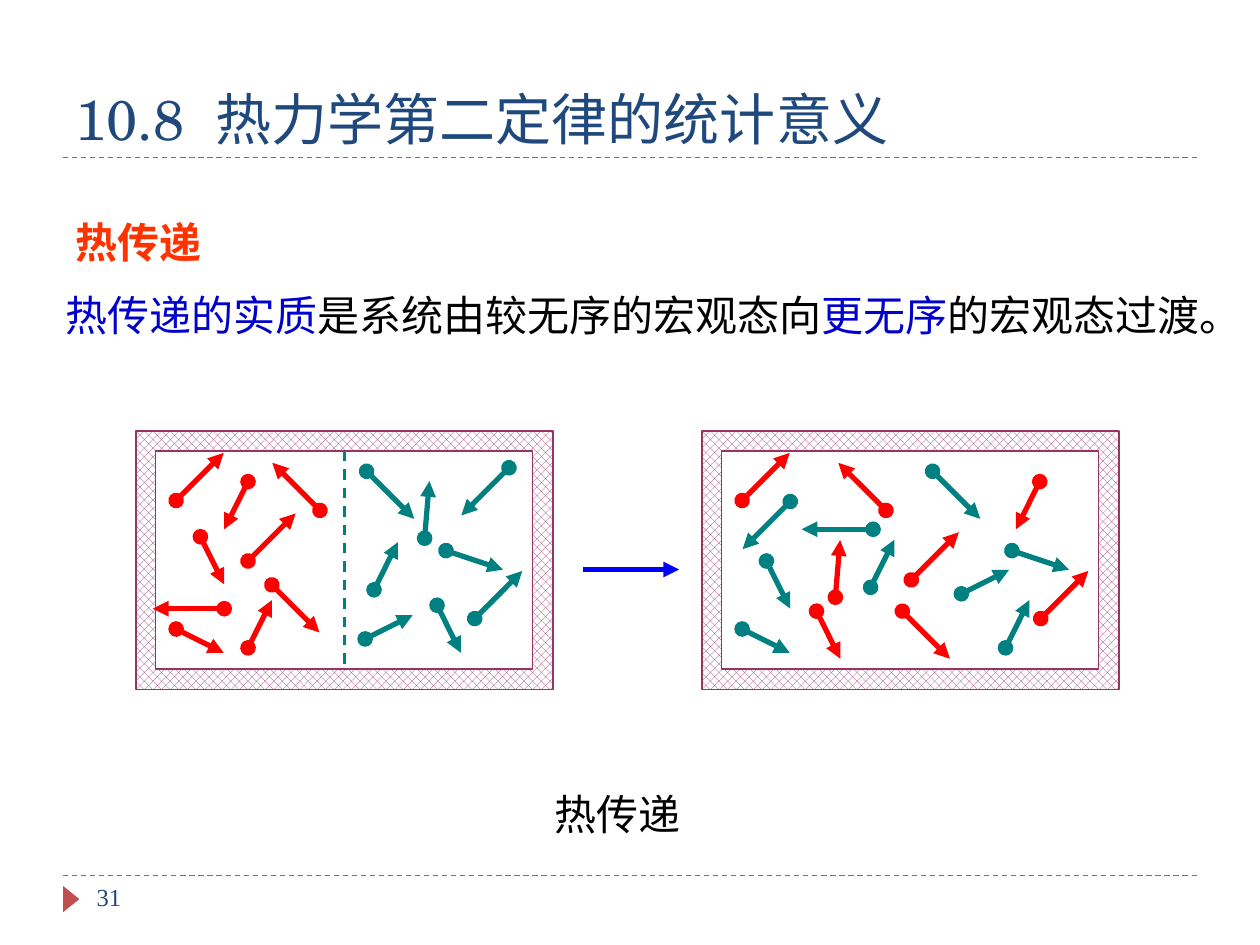
from lxml import etree
from pptx import Presentation
from pptx.dml.color import RGBColor
from pptx.enum.dml import MSO_LINE, MSO_PATTERN
from pptx.enum.shapes import MSO_CONNECTOR, MSO_SHAPE
from pptx.enum.text import MSO_ANCHOR, MSO_AUTO_SIZE
from pptx.oxml.ns import qn
from pptx.util import Cm, Pt

STRAIGHT = MSO_CONNECTOR.STRAIGHT
RECTANGLE, TRIANGLE = MSO_SHAPE.RECTANGLE, MSO_SHAPE.ISOSCELES_TRIANGLE
DASH = MSO_LINE.DASH
HATCH = MSO_PATTERN.PERCENT_50
TOP, BOTTOM = MSO_ANCHOR.TOP, MSO_ANCHOR.BOTTOM
GROW = MSO_AUTO_SIZE.SHAPE_TO_FIT_TEXT

RED, TEAL, PURPLE, BRICK, NAVY = "FF0000", "008080", "993366", "C0504D", "1F497D"
BLUE, BLACK, WHITE = "0000CC", "000000", "FFFFFF"
SERIF, TITLE_FONT = "Times New Roman", "TeX Gyre Schola"

# Containers, in cm
BOX_TOP, BOX_WIDTH, BOX_HEIGHT = 8.69, 8.41, 5.21
WALL, INNER_WIDTH, INNER_HEIGHT = 0.4, 7.6, 4.4
STEP = 0.48  # unit of molecule velocity

# Molecules: x and y in cm from the container corner, velocity in steps
BEFORE = {
    RED: [
        (0.81, 1.40, 2, -2), (1.78, 3.58, -3, 0), (0.81, 3.99, 2, 1),
        (2.26, 1.02, -1, 2), (1.30, 2.13, 1, 2), (2.26, 4.37, 1, -2),
        (3.71, 1.60, -2, -2), (2.26, 2.62, 2, -2), (2.74, 3.10, 2, 2),
    ],
    TEAL: [
        (4.65, 0.81, 2, 2), (4.62, 4.19, 2, -1), (5.82, 2.16, 0.2, -2.4),
        (4.80, 3.20, 1, -2), (6.07, 3.51, 1, 2), (7.52, 0.74, -2, 2),
        (6.25, 2.41, 2.4, 0.8), (6.83, 3.78, 2, -2),
    ],
}
AFTER = {
    RED: [
        (0.81, 1.40, 2, -2), (6.81, 1.02, -1, 2), (3.71, 1.60, -2, -2),
        (4.22, 3.00, 2, -2), (4.04, 3.63, 2, 2), (2.69, 3.35, 0.2, -2.4),
        (2.31, 3.63, 1, 2), (6.83, 3.78, 2, -2),
    ],
    TEAL: [
        (3.45, 1.98, -3, 0), (0.81, 3.99, 2, 1), (1.30, 2.62, 1, 2),
        (6.12, 4.37, 1, -2), (4.65, 0.81, 2, 2), (5.23, 3.28, 2, -1),
        (3.40, 3.15, 1, -2), (1.78, 1.42, -2, 2), (6.25, 2.41, 2.4, 0.8),
    ],
}


def rgb(color):
    return RGBColor.from_string(color)


def add_line(slide, start, end, color, width, dash=None, head=None, tail=None):
    connector = slide.shapes.add_connector(
        STRAIGHT, Cm(start[0]), Cm(start[1]), Cm(end[0]), Cm(end[1]))
    connector.line.color.rgb = rgb(color)
    connector.line.width = Pt(width)
    if dash:
        connector.line.dash_style = dash
    properties = connector._element.spPr
    outline = properties.find(qn("a:ln"))
    for tag, kind in (("a:headEnd", head), ("a:tailEnd", tail)):
        if kind:
            etree.SubElement(outline, qn(tag)).set("type", kind)
    etree.SubElement(properties, qn("a:effectLst"))
    return connector


def add_shape(slide, kind, left, top, width, height, fill, line=None, hatched=False):
    shape = slide.shapes.add_shape(kind, Cm(left), Cm(top), Cm(width), Cm(height))
    shape.shadow.inherit = False
    if hatched:
        shape.fill.patterned()
        shape.fill.pattern = HATCH
        shape.fill.fore_color.rgb = rgb(fill)
        shape.fill.back_color.rgb = rgb(WHITE)
    else:
        shape.fill.solid()
        shape.fill.fore_color.rgb = rgb(fill)
    if line:
        shape.line.color.rgb = rgb(line)
        shape.line.width = Pt(0.75)
    else:
        shape.line.fill.background()
    return shape


def add_text(slide, left, top, width, height, runs, size, font=SERIF,
             bold=False, anchor=TOP, wrap=True, grow=False):
    """Add one paragraph made of (text, color) runs."""
    box = slide.shapes.add_textbox(Cm(left), Cm(top), Cm(width), Cm(height))
    frame = box.text_frame
    frame.word_wrap = wrap
    frame.vertical_anchor = anchor
    if grow:
        frame.auto_size = GROW
    paragraph = frame.paragraphs[0]
    paragraph.font.size = Pt(size)
    paragraph.font.name = font
    paragraph.font.bold = bold
    for text, color in runs:
        run = paragraph.add_run()
        run.text = text
        run.font.size = Pt(size)
        run.font.name = font
        run.font.bold = bold
        run.font.color.rgb = rgb(color)
    return paragraph


def add_container(slide, left, molecules, divided=False):
    add_shape(slide, RECTANGLE, left, BOX_TOP, BOX_WIDTH, BOX_HEIGHT,
              PURPLE, PURPLE, hatched=True)
    inner_left, inner_top = left + WALL, BOX_TOP + WALL
    inside = add_shape(slide, RECTANGLE, inner_left, inner_top,
                       INNER_WIDTH, INNER_HEIGHT, WHITE, PURPLE)
    if divided:
        middle = inner_left + INNER_WIDTH / 2
        divider = add_line(slide, (middle, inner_top),
                           (middle, inner_top + INNER_HEIGHT), TEAL, 1.5, DASH)
        divider.begin_connect(inside, 0)
        divider.end_connect(inside, 2)
    for color, group in molecules.items():
        for x, y, across, down in group:
            start = (left + x, BOX_TOP + y)
            end = (start[0] + across * STEP, start[1] + down * STEP)
            add_line(slide, start, end, color, 3, head="oval", tail="triangle")


def main():
    presentation = Presentation()
    presentation.slide_width, presentation.slide_height = Cm(25.4), Cm(19.05)
    slide = presentation.slides.add_slide(presentation.slide_layouts[6])

    # Rules and footer marker
    for y in (17.65, 3.18):
        add_line(slide, (1.27, y), (24.13, y), BRICK, 0.75, DASH)
    marker = add_shape(slide, TRIANGLE, 1.17, 17.96, 0.53, 0.33, BRICK)
    marker.rotation = 90

    # Title, page number and body text
    title = add_text(slide, 1.27, 0.64, 22.86, 2.54,
                     [("10.8", NAVY), (" ", NAVY), ("热力学第二定律的统计意义", NAVY)],
                     32, TITLE_FONT, anchor=BOTTOM)
    title.runs[1].font._element.set("spc", "900")  # widen the gap after the number
    add_text(slide, 1.7, 17.65, 5.51, 1.02, [("31", NAVY)], 14)
    add_text(slide, 1.27, 4.24, 4.65, 1.27, [("热传递", "FF3300")], 24,
             bold=True, grow=True)
    body = add_text(slide, 1.07, 5.41, 23.9, 1.57,
                    [("热传递的实质", BLUE), ("是系统由较无序的宏观态向", BLACK),
                     ("更无序", BLUE), ("的宏观态过渡。", BLACK)], 24, grow=True)
    body.line_spacing = 1.3

    # Diagram: separated molecules become mixed
    add_line(slide, (11.76, 11.48), (13.69, 11.48), "0000FF", 3, tail="triangle")
    add_container(slide, 2.74, BEFORE, divided=True)
    add_container(slide, 14.15, AFTER)
    add_text(slide, 10.92, 15.77, 3.25, 1.27, [("热传递", BLACK)], 24,
             wrap=False, grow=True)

    presentation.save("out.pptx")


if __name__ == "__main__":
    main()
